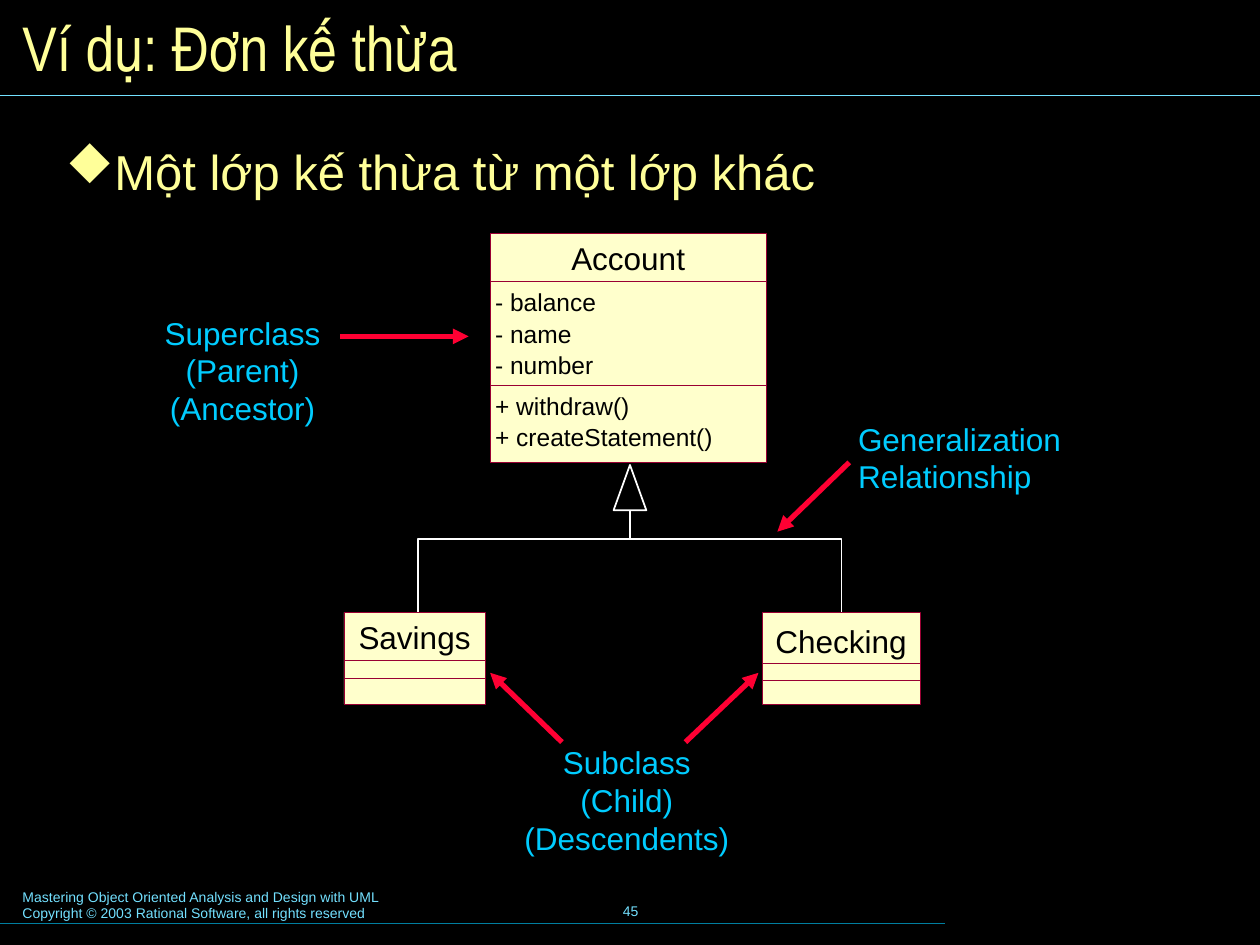
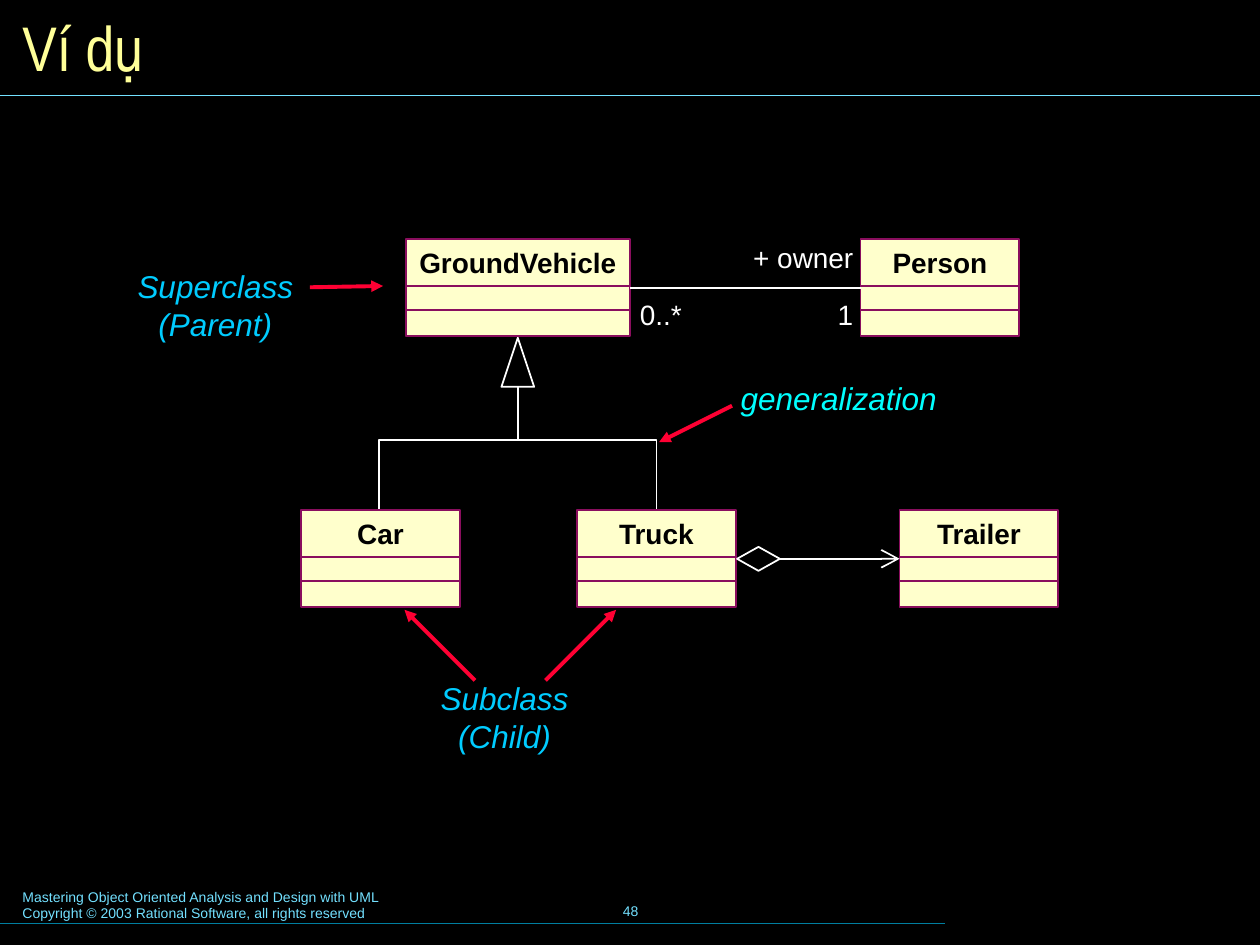
from lxml import etree
from pptx import Presentation
from pptx.dml.color import RGBColor
from pptx.enum.shapes import MSO_CONNECTOR, MSO_SHAPE
from pptx.enum.text import MSO_ANCHOR, PP_ALIGN
from pptx.oxml.ns import qn
from pptx.util import Inches, Pt

COLORS = {
    "background": "000000", "title": "FFFF99", "rule": "73E1FF",
    "footer_rule": "007E9F", "label": "00CCFF", "relation_label": "00FFFF",
    "pointer": "FF0033", "relation": "FFFFFF", "class_fill": "FFFFCC",
    "class_text": "000000", "account_border": "990033", "vehicle_border": "8A0E5E",
}
FOOTER = ["Mastering Object Oriented Analysis and Design with UML",
          "Copyright © 2003 Rational Software, all rights reserved"]
TOP, LEFT, BOTTOM, RIGHT = range(4)
WIDE_INSETS = (0.12, 0.06)
NORMAL_INSETS = (0.1, 0.05)

# Class boxes: name, left, top, width, height, divider offsets, name offset
ACCOUNT_CLASSES = [
    ("Account", 3.89, 1.85, 2.19, 1.82, (0.38, 1.21), 0.05),
    ("Savings", 2.73, 4.86, 1.12, 0.73, (0.38, 0.52), 0.05),
    ("Checking", 6.05, 4.86, 1.25, 0.73, (0.4, 0.54), 0.08),
]
ACCOUNT_MEMBERS = [
    (2.28, ["- balance", "- name", "- number"]),
    (3.1, ["+ withdraw()", "+ createStatement()"]),
]
VEHICLE_CLASSES = [
    ("GroundVehicle", 3.22, 1.9, 1.78),
    ("Person", 6.83, 1.9, 1.26),
    ("Car", 2.39, 4.05, 1.26),
    ("Truck", 4.58, 4.05, 1.26),
    ("Trailer", 7.14, 4.05, 1.26),
]
VEHICLE_HEIGHT = 0.77
VEHICLE_DIVIDERS = (0.37, 0.56)

# Labels: text, left, top, width, height, alignment, colour
ACCOUNT_LABELS = [
    ("Superclass (Parent) (Ancestor)", 0.94, 2.43, 1.97, 1.02, PP_ALIGN.CENTER, "label"),
    ("Subclass (Child) (Descendents)", 3.99, 5.84, 1.97, 1.02, PP_ALIGN.CENTER, "label"),
    ("Generalization Relationship", 6.69, 3.27, 1.97, 0.72, PP_ALIGN.LEFT, "label"),
]
VEHICLE_LABELS = [
    ("Superclass (Parent)", 0.98, 2.07, 1.46, 0.7, PP_ALIGN.CENTER, "label"),
    ("Subclass (Child)", 3.12, 5.34, 1.77, 0.7, PP_ALIGN.CENTER, "label"),
    ("generalization", 5.78, 2.96, 1.83, 0.4, PP_ALIGN.LEFT, "relation_label"),
]
ASSOCIATION_ENDS = [("+ owner", 5.88, 1.86, 1), ("0..*", 4.98, 2.31, 0.54),
                    ("1", 6.55, 2.31, 0.33)]

# Pointers: start, end
ACCOUNT_POINTERS = [
    ((2.7, 2.67), (3.72, 2.67)), ((4.46, 5.89), (3.89, 5.34)),
    ((5.44, 5.89), (6.02, 5.34)), ((6.74, 3.67), (6.17, 4.22)),
]
VEHICLE_POINTERS = [
    ((2.46, 2.28), (3.04, 2.27)), ((3.77, 5.4), (3.21, 4.84)),
    ((4.33, 5.4), (4.89, 4.84)), ((5.81, 3.22), (5.23, 3.51)),
]


def color(name):
    return RGBColor.from_string(COLORS[name])


def set_text(shape, lines, size, color_name, font="Arial", align=PP_ALIGN.LEFT,
             insets=NORMAL_INSETS, anchor=MSO_ANCHOR.TOP, wrap=True,
             bold=False, italic=False):
    frame = shape.text_frame
    frame.text = "\n".join(lines)
    frame.word_wrap = wrap
    frame.vertical_anchor = anchor
    frame.margin_left = frame.margin_right = Inches(insets[0])
    frame.margin_top = frame.margin_bottom = Inches(insets[1])
    for paragraph in frame.paragraphs:
        paragraph.alignment = align
        for run in paragraph.runs:
            run.font.name = font
            run.font.size = Pt(size)
            run.font.bold = bold
            run.font.italic = italic
            run.font.color.rgb = color(color_name)


def add_text(slide, box, lines, size, color_name, **style):
    text_box = slide.shapes.add_textbox(*map(Inches, box))
    set_text(text_box, lines, size, color_name, **style)
    return text_box


def add_line(slide, start, end, color_name, width, arrow=None, arrow_size="med"):
    line = slide.shapes.add_connector(MSO_CONNECTOR.STRAIGHT, *map(Inches, start + end))
    line.line.color.rgb = color(color_name)
    line.line.width = Pt(width)
    if arrow:
        etree.SubElement(line.line._get_or_add_ln(), qn("a:tailEnd"),
                         type=arrow, w=arrow_size, len=arrow_size)
    etree.SubElement(line._element.spPr, qn("a:effectLst"))
    return line


def join(slide, first, first_side, second, second_side, arrow=None):
    """Draw a relation between the sides of two shapes."""
    line = add_line(slide, (0, 0), (1, 1), "relation", 1, arrow, "lg")
    line.begin_connect(first, first_side)
    line.end_connect(second, second_side)


def add_outline(slide, preset, box):
    shape = slide.shapes.add_shape(preset, *map(Inches, box))
    style_relation(shape)
    return shape


def style_relation(shape):
    shape.shadow.inherit = False
    shape.fill.background()
    shape.line.color.rgb = color("relation")
    shape.line.width = Pt(1)


def add_generalization(slide, apex, base, bar, branches, bottom):
    """Draw the hollow arrowhead, its stem and the branches to the subclasses."""
    center, top = apex
    left, right = branches
    builder = slide.shapes.build_freeform(Inches(left), Inches(bottom))
    corners = [(left, bar), (right, bar), (right, bottom)]
    builder.add_line_segments([(Inches(x), Inches(y)) for x, y in corners], close=False)
    style_relation(builder.convert_to_shape())
    add_line(slide, (center, bar), (center, base), "relation", 1)
    add_outline(slide, MSO_SHAPE.ISOSCELES_TRIANGLE, (center - 0.13, top, 0.26, base - top))


def add_class(slide, name, left, top, width, height, dividers, border, line_width,
              size, name_offset=0.05, bold=False):
    box = slide.shapes.add_shape(MSO_SHAPE.RECTANGLE, *map(Inches, (left, top, width, height)))
    box.shadow.inherit = False
    box.fill.solid()
    box.fill.fore_color.rgb = color("class_fill")
    box.line.color.rgb = color(border)
    box.line.width = Pt(line_width)
    set_text(box, [name], size, "class_text", align=PP_ALIGN.CENTER,
             insets=(0.1, name_offset), wrap=False, bold=bold)
    for offset in dividers:
        y = top + offset
        add_line(slide, (left, y), (left + width, y), border, line_width)
    return box


def add_labels(slide, labels, insets, italic=False):
    for text, left, top, width, height, align, color_name in labels:
        add_text(slide, (left, top, width, height), [text], 18, color_name,
                 align=align, insets=insets, italic=italic)


def add_pointers(slide, pointers, width):
    for start, end in pointers:
        add_line(slide, start, end, "pointer", width, "triangle")


def add_base_slide(presentation, title, number):
    slide = presentation.slides.add_slide(presentation.slide_layouts[6])
    slide.background.fill.solid()
    slide.background.fill.fore_color.rgb = color("background")
    add_text(slide, (0.08, 7, 5.1, 0.37), FOOTER, 8, "rule")
    add_text(slide, (3.42, 6.98, 3.17, 0.5), [number], 8, "rule",
             align=PP_ALIGN.CENTER, anchor=MSO_ANCHOR.MIDDLE, wrap=False)
    add_line(slide, (0, 7.33), (7.5, 7.33), "footer_rule", 0.75)
    add_line(slide, (0, 0.76), (10, 0.76), "rule", 0.75)
    add_text(slide, (0.08, 0.08, 9.84, 0.58), [title], 36, "title",
             font="Arial Narrow", anchor=MSO_ANCHOR.MIDDLE)
    return slide


def add_bullet_text(slide, box, text):
    """Add a line with a diamond bullet, which is the letter u in the symbol font."""
    text_box = add_text(slide, box, [text], 28, "title", insets=WIDE_INSETS)
    paragraph = text_box.text_frame.paragraphs[0]
    paragraph.line_spacing = 0.8
    properties = paragraph._p.get_or_add_pPr()
    properties.set("marL", str(Inches(0.37)))
    properties.set("indent", str(-Inches(0.37)))
    bullet_color = etree.SubElement(properties, qn("a:buClr"))
    etree.SubElement(bullet_color, qn("a:srgbClr"), val=COLORS["title"])
    etree.SubElement(properties, qn("a:buFont"), typeface="Wingdings",
                     pitchFamily="2", charset="2")
    etree.SubElement(properties, qn("a:buChar"), char="u")


def build_account_slide(presentation):
    slide = add_base_slide(presentation, "Ví dụ: Đơn kế thừa", "45")
    add_bullet_text(slide, (0.4, 1.15, 8.82, 1.34), "Một lớp kế thừa từ một lớp khác")
    add_generalization(slide, (5, 3.69), 4.05, 4.28, (3.32, 6.68), 4.86)
    for name, left, top, width, height, dividers, name_offset in ACCOUNT_CLASSES:
        add_class(slide, name, left, top, width, height, dividers,
                  "account_border", 0.25, 18, name_offset)
    for top, members in ACCOUNT_MEMBERS:
        text_box = add_text(slide, (3.93, top, 2.1, 0.25 * len(members)), members, 14,
                            "class_text", insets=(0, 0))
        for paragraph in text_box.text_frame.paragraphs:
            paragraph.space_after = Pt(1.2)
    add_labels(slide, ACCOUNT_LABELS, WIDE_INSETS)
    add_pointers(slide, ACCOUNT_POINTERS, 3)


def build_vehicle_slide(presentation):
    slide = add_base_slide(presentation, "Ví dụ", "48")
    add_generalization(slide, (4.11, 2.68), 3.07, 3.49, (3.01, 5.21), 4.05)
    classes = {}
    for name, left, top, width in VEHICLE_CLASSES:
        classes[name] = add_class(slide, name, left, top, width, VEHICLE_HEIGHT,
                                  VEHICLE_DIVIDERS, "vehicle_border", 1, 16, bold=True)
    join(slide, classes["GroundVehicle"], RIGHT, classes["Person"], LEFT)
    diamond = add_outline(slide, MSO_SHAPE.DIAMOND, (5.85, 4.34, 0.34, 0.19))
    join(slide, diamond, RIGHT, classes["Trailer"], LEFT, "arrow")
    for text, left, top, width in ASSOCIATION_ENDS:
        add_text(slide, (left, top, width, 0.37), [text], 16, "relation", wrap=False)
    add_labels(slide, VEHICLE_LABELS, NORMAL_INSETS, italic=True)
    add_pointers(slide, VEHICLE_POINTERS, 2.25)


def main():
    presentation = Presentation()
    presentation.slide_width = Inches(10)
    presentation.slide_height = Inches(7.5)
    build_account_slide(presentation)
    build_vehicle_slide(presentation)
    presentation.save("out.pptx")


if __name__ == "__main__":
    main()
